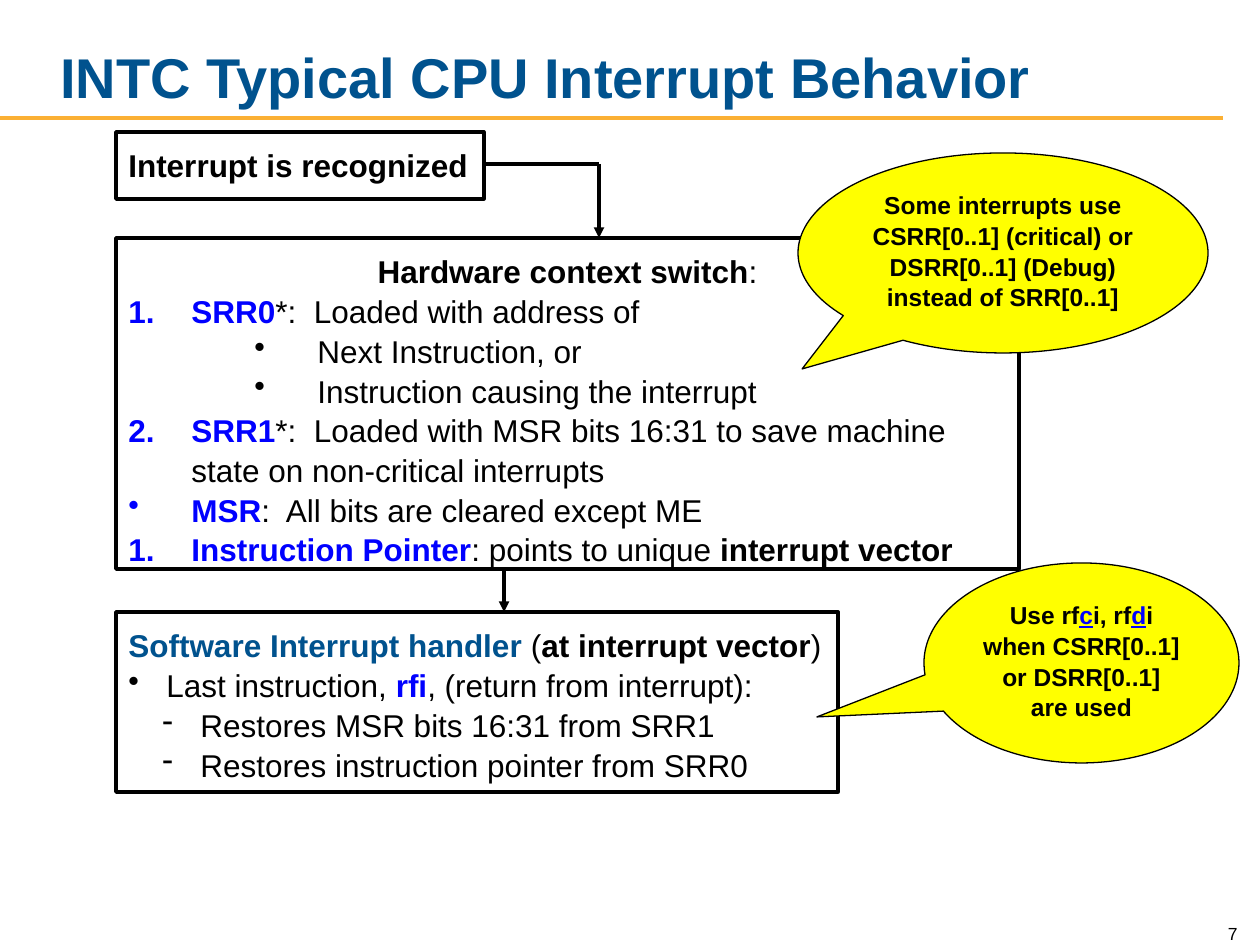
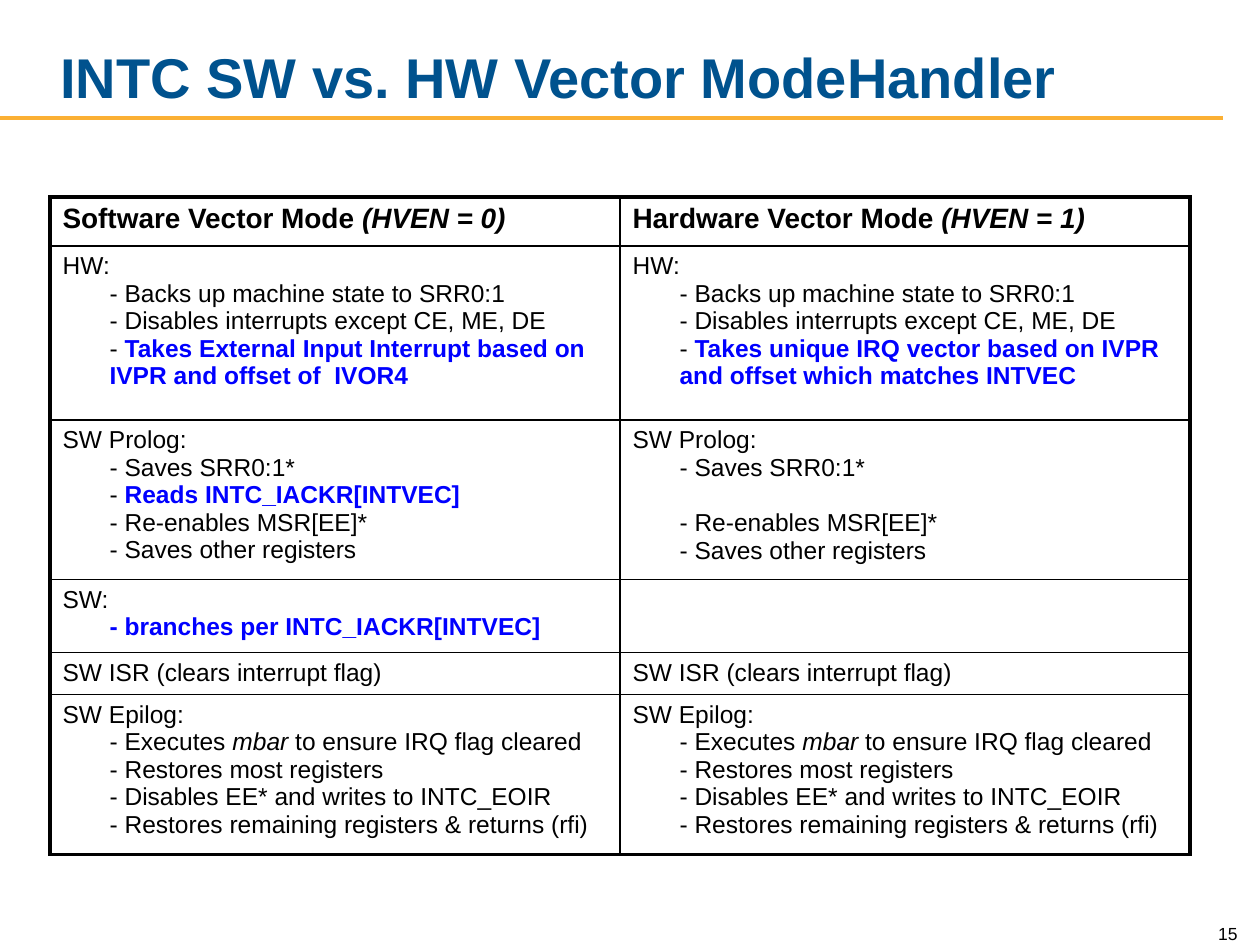
"""Build two slides on interrupt behaviour and on software and hardware vector modes."""
import pptx
import pptx.dml.color
import pptx.enum.shapes
import pptx.enum.text
import pptx.oxml
import pptx.oxml.ns
import pptx.util
import lxml.etree

PIXEL = 914400 / 126
COLORS = {
    "black": "000000",
    "blue": "0000FF",
    "navy": "00528E",
    "gold": "FBB034",
    "yellow": "FFFF00",
}
COLORS = {name: pptx.dml.color.RGBColor.from_string(value) for name, value in COLORS.items()}
SHAPES = pptx.enum.shapes.MSO_SHAPE
ALIGN = pptx.enum.text.PP_ALIGN
ANCHOR = pptx.enum.text.MSO_ANCHOR
qualified = pptx.oxml.ns.qn


def write_lines(text_frame, lines, size, spacing=1.0):
    """Write lines, each a list of (text, style words) runs with a dict of paragraph settings."""
    for index, (runs, settings) in enumerate(lines):
        paragraph = text_frame.paragraphs[0] if index == 0 else text_frame.add_paragraph()
        paragraph.alignment = settings.get("align", ALIGN.LEFT)
        paragraph.level = settings.get("level", 0)
        paragraph.line_spacing = spacing
        paragraph.space_before = pptx.util.Pt(settings.get("before", 0))
        properties = paragraph._p.get_or_add_pPr()
        properties.set("marL", str(round(settings.get("margin", 0) * PIXEL)))
        properties.set("indent", str(round(settings.get("indent", 0) * PIXEL)))
        bullet = settings.get("bullet")
        if isinstance(bullet, int):
            number = lxml.etree.SubElement(properties, qualified("a:buAutoNum"))
            number.set("type", "arabicPeriod")
            number.set("startAt", str(bullet))
        elif bullet:
            lxml.etree.SubElement(properties, qualified("a:buChar")).set("char", bullet)
        for text, style in runs:
            run = paragraph.add_run()
            run.text = text
            words = style.split()
            run.font.name = "Arial"
            run.font.size = pptx.util.Pt(size)
            run.font.bold = "bold" in words
            run.font.italic = "italic" in words
            run.font.underline = "underline" in words
            color = next((word for word in words if word in COLORS), "black")
            run.font.color.rgb = COLORS[color]


def add_line(slide, start, end, color, width, arrow=False):
    """Draw a straight line, with an arrowhead at its end if asked."""
    connector = slide.shapes.add_connector(
        pptx.enum.shapes.MSO_CONNECTOR.STRAIGHT,
        *[round(value * PIXEL) for value in (*start, *end)])
    connector.line.color.rgb = COLORS[color]
    connector.line.width = pptx.util.Pt(width)
    if arrow:
        line = connector.line._get_or_add_ln()
        lxml.etree.SubElement(line, qualified("a:tailEnd")).set("type", "triangle")
    lxml.etree.SubElement(connector._element.spPr, qualified("a:effectLst"))


presentation = pptx.Presentation()
presentation.slide_width = round(1260 * PIXEL)
presentation.slide_height = round(945 * PIXEL)

slides = []
for title, number in [
    ("INTC Typical CPU Interrupt Behavior", "7"),
    ("INTC SW vs. HW Vector ModeHandler", "15"),
]:
    slide = presentation.slides.add_slide(presentation.slide_layouts[6])
    slides.append(slide)
    add_line(slide, (0, 118), (1223, 118), "gold", 2.25)
    for text, style, size, align, area in [
        (number, "", 10, ALIGN.RIGHT, (1187, 912, 63, 38)),
        (title, "bold navy", 32, ALIGN.LEFT, (48, 21, 1045, 95)),
    ]:
        text_box = slide.shapes.add_textbox(*[round(value * PIXEL) for value in area])
        text_box.text_frame.word_wrap = True
        text_box.text_frame.vertical_anchor = ANCHOR.BOTTOM
        write_lines(text_box.text_frame, [([(text, style)], {"align": align})], size)

behavior_slide, modes_slide = slides

centered = {"align": ALIGN.CENTER}
sub_bullet = {"level": 2, "margin": 189, "indent": -63, "bullet": "•"}
dash = {"level": 1, "margin": 72, "indent": -38, "bullet": "-"}
first, second, point = [{"margin": 63, "indent": -63, "bullet": bullet} for bullet in (1, 2, "•")]

recognized = [([("Interrupt is recognized", "bold")], {})]
context_switch = [
    ([("Hardware context switch", "bold"), (":", "")], centered),
    ([("SRR0", "bold blue"), ("*:  Loaded with address of", "")], first),
    ([("Next Instruction, or", "")], sub_bullet),
    ([("Instruction causing the interrupt", "")], sub_bullet),
    ([("SRR1", "bold blue"),
      ("*:  Loaded with MSR bits 16:31 to save machine state on non-critical interrupts", "")],
     second),
    ([("MSR", "bold blue"), (":  All bits are cleared except ME", "")], point),
    ([("Instruction Pointer", "bold blue"), (": points to unique ", ""),
      ("interrupt vector", "bold")], first),
]
handler = [
    ([("Software Interrupt handler", "bold navy"), (" (", ""),
      ("at interrupt vector", "bold"), (")", "")], {}),
    ([("Last instruction, ", ""), ("rfi", "bold blue"), (", (return from interrupt):", "")],
     {"margin": 38, "indent": -38, "bullet": "•"}),
    ([("Restores MSR bits 16:31 from SRR1", "")], dash),
    ([("Restores instruction pointer from SRR0", "")], dash),
]
for area, lines, wrap in [
    ((116, 132, 368, 67), recognized, False),
    ((116, 238, 903, 331), context_switch, True),
    ((116, 612, 722, 180), handler, False),
]:
    box = behavior_slide.shapes.add_shape(
        SHAPES.RECTANGLE, *[round(value * PIXEL) for value in area])
    box.shadow.inherit = False
    box.fill.background()
    box.line.color.rgb = COLORS["black"]
    box.line.width = pptx.util.Pt(2)
    frame = box.text_frame
    frame.word_wrap = wrap
    frame.vertical_anchor = ANCHOR.TOP
    frame.margin_left = frame.margin_right = pptx.util.Inches(0.1)
    frame.margin_top = frame.margin_bottom = pptx.util.Inches(0.1)
    write_lines(frame, lines, 18, 1.05)

add_line(behavior_slide, (484, 164), (599, 164), "black", 2)
add_line(behavior_slide, (599, 164), (599, 238), "black", 2, arrow=True)
add_line(behavior_slide, (504, 569), (504, 612), "black", 2, arrow=True)

critical_note = [("Some interrupts use CSRR[0..1] (critical) or DSRR[0..1] (Debug) "
                  "instead of SRR[0..1]", "bold")]
return_note = [
    ("Use rf", "bold"), ("c", "bold blue underline"), ("i, rf", "bold"),
    ("d", "bold blue underline"), ("i when CSRR[0..1] or DSRR[0..1] are used", "bold"),
]
for area, tip, runs in [
    ((798, 153, 410, 200), (-0.49, 0.58), critical_note),
    ((924, 563, 315, 200), (-0.84, 0.27), return_note),
]:
    callout = behavior_slide.shapes.add_shape(
        SHAPES.OVAL_CALLOUT, *[round(value * PIXEL) for value in area])
    callout.adjustments[0], callout.adjustments[1] = tip
    callout.shadow.inherit = False
    callout.fill.solid()
    callout.fill.fore_color.rgb = COLORS["yellow"]
    callout.line.color.rgb = COLORS["black"]
    callout.line.width = pptx.util.Pt(0.75)
    callout.text_frame.word_wrap = True
    callout.text_frame.vertical_anchor = ANCHOR.TOP
    write_lines(callout.text_frame, [(runs, centered)], 14, 1.05)

step = {"margin": 47}
backup = [
    ([("HW:", "")], {}),
    ([("- Backs up machine state to SRR0:1", "")], step),
    ([("- Disables interrupts except CE, ME, DE", "")], step),
]
software_vector, hardware_vector = [
    backup + [([("- ", ""), (text, "bold blue")], step)]
    for text in (
        "Takes External Input Interrupt based on IVPR and offset of  IVOR4",
        "Takes unique IRQ vector based on IVPR and offset which matches INTVEC",
    )
]
save_state = [([("SW Prolog:", "")], {}), ([("- Saves SRR0:1*", "")], step)]
read_vector = [([("- ", ""), ("Reads INTC_IACKR[INTVEC]", "bold blue")], step)]
enable = [("- Re-enables MSR[EE]*", "")]
save_others = [([("- Saves other registers", "")], step)]
branch = [([("SW:", "")], {}), ([("- branches per INTC_IACKR[INTVEC]", "bold blue")], step)]
service = [([("SW ISR (clears interrupt flag)", "")], {})]
epilog = [
    ([("SW Epilog:", "")], {}),
    ([("- Executes ", ""), ("mbar", "italic"), (" to ensure IRQ flag cleared", "")], step),
    ([("- Restores most registers", "")], step),
    ([("- Disables EE* and writes to INTC_EOIR", "")], step),
    ([("- Restores remaining registers & returns (rfi)", "")], step),
]
headings = [
    [([(mode + " Vector Mode ", "bold"), (f"(HVEN = {value})", "bold italic")], {})]
    for value, mode in enumerate(("Software", "Hardware"))
]
rows = [
    (49, headings),
    (174, (software_vector, hardware_vector)),
    (150, (save_state + read_vector + [(enable, step)] + save_others,
           save_state + [(enable, {**step, "before": 16})] + save_others)),
    (73, (branch, [])),
    (42, (service, service)),
    (151, (epilog, epilog)),
]
table_area = (50, 197, 1140, sum(height for height, cells in rows))
table = modes_slide.shapes.add_table(
    len(rows), 2, *[round(value * PIXEL) for value in table_area]).table
table.first_row = False
table.horz_banding = False
for column in table.columns:
    column.width = round(570 * PIXEL)
for row_index, (height, cells) in enumerate(rows):
    table.rows[row_index].height = round(height * PIXEL)
    for column_index, lines in enumerate(cells):
        cell = table.cell(row_index, column_index)
        cell.fill.background()
        write_lines(cell.text_frame, lines, 16 if row_index == 0 else 14)
        outer_edges = [
            ("a:lnL", column_index == 0),
            ("a:lnR", column_index == 1),
            ("a:lnT", row_index == 0),
            ("a:lnB", row_index == len(rows) - 1),
        ]
        for position, (tag, outer) in enumerate(outer_edges):
            border = lxml.etree.Element(qualified(tag))
            border.set("w", str(pptx.util.Pt(2.25 if outer else 1)))
            fill = lxml.etree.SubElement(border, qualified("a:solidFill"))
            color = lxml.etree.SubElement(fill, qualified("a:srgbClr"))
            color.set("val", str(COLORS["black"]))
            cell._tc.get_or_add_tcPr().insert(position, border)

presentation.save("out.pptx")
